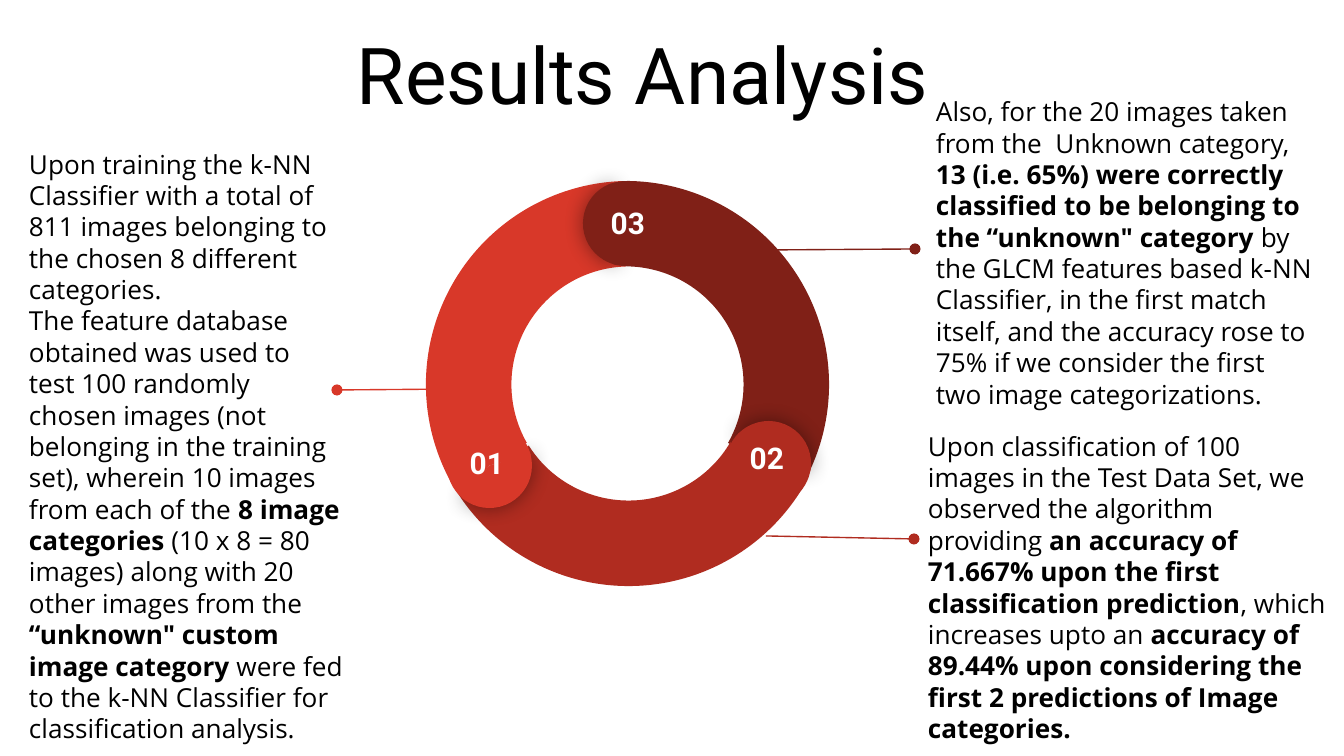
"""Build the results analysis slide: a three-part ring with a finding beside each part."""
from lxml import etree
from pptx import Presentation
from pptx.dml.color import RGBColor
from pptx.enum.shapes import MSO_CONNECTOR, MSO_SHAPE
from pptx.enum.text import MSO_ANCHOR, MSO_AUTO_SIZE, PP_ALIGN
from pptx.oxml import parse_xml
from pptx.oxml.ns import nsdecls, qn
from pptx.util import Pt

LEFT, CENTER = PP_ALIGN.LEFT, PP_ALIGN.CENTER
TOP, MIDDLE, BOTTOM = MSO_ANCHOR.TOP, MSO_ANCHOR.MIDDLE, MSO_ANCHOR.BOTTOM
STRAIGHT, BLOCK_ARC, PIE = MSO_CONNECTOR.STRAIGHT, MSO_SHAPE.BLOCK_ARC, MSO_SHAPE.PIE
FIXED = MSO_AUTO_SIZE.NONE

SCALE = 9144000 / 1344
BRIGHT, MEDIUM, DARK = "D83829", "B02C20", "802017"
RING, CAP = 407, 85
SHADOW = (
    f'<a:effectLst {nsdecls("a")}><a:outerShdw blurRad="142240" algn="ctr" rotWithShape="0">'
    '<a:srgbClr val="000000"><a:alpha val="43000"/></a:srgbClr></a:outerShdw></a:effectLst>'
)


def emu(*lengths):
    return [round(length * SCALE) for length in lengths]


def write(holder, paragraphs, size=14, font="Open Sans", color="000000", bold=False,
          align=LEFT, anchor=TOP, after=0, bottom=13):
    frame = holder.text_frame
    frame.word_wrap, frame.auto_size, frame.vertical_anchor = True, FIXED, anchor
    frame.margin_left, frame.margin_top, frame.margin_right, frame.margin_bottom = emu(13, 13, 13, bottom)
    for index, pieces in enumerate(paragraphs):
        paragraph = frame.paragraphs[0] if index == 0 else frame.add_paragraph()
        paragraph.alignment, paragraph.space_after = align, Pt(after)
        for position, piece in enumerate(pieces):
            for row, words in enumerate(piece.split("\n")):
                if row:
                    paragraph.add_line_break()
                run = paragraph.add_run()
                run.text = words
                run.font.size, run.font.name = Pt(size), font
                run.font.bold = bold or position % 2 == 1
                run.font.color.rgb = RGBColor.from_string(color)


deck = Presentation()
deck.slide_width, deck.slide_height = emu(1344, 756)
slide = deck.slides.add_slide(deck.slide_layouts[5])
shapes = slide.shapes

title = shapes.title
title.left, title.top, title.width, title.height = emu(16, 11, 1253, 122)
write(title, [["Results Analysis"]], size=42, font="Roboto", align=CENTER, anchor=BOTTOM)

training = [
    ["Upon training the k-NN Classifier with a total of 811 images belonging to the chosen 8 "
     "different categories."],
    ["The feature database obtained was used to \ntest 100 randomly \nchosen images (not belonging "
     "in the training set), wherein 10 images from each of the ",
     "8 image categories",
     " (10 x 8 = 80 images) along with 20 other images from the ",
     "“unknown\" custom image category",
     " were fed to the k-NN Classifier for classification analysis."],
]
unknown = [
    ["Also, for the 20 images taken from the  Unknown category, ",
     "13 (i.e. 65%) were correctly classified to be belonging to the “unknown\" category",
     " by the GLCM features based k-NN Classifier, in the first match itself, and the accuracy "
     "rose to 75% if we consider the first two image categorizations."],
]
accuracy = [
    ["Upon classification of 100 images in the Test Data Set, we observed the algorithm"],
    ["providing ",
     "an accuracy of 71.667% upon the first classification prediction",
     ", which increases upto an ",
     "accuracy of 89.44% upon considering the first 2 predictions of Image categories."],
]
findings = [
    (training, (16, 171, 355, 577), dict(anchor=MIDDLE, bottom=40)),
    (unknown, (923, 81, 405, 343), dict(anchor=MIDDLE, after=16)),
    (accuracy, (915, 417, 429, 319), {}),
]
for paragraphs, place, style in findings:
    write(shapes.add_textbox(*emu(*place)), paragraphs, **style)

leaders = [
    (BRIGHT, (465, 389, 337, 390)),
    (DARK, (766, 250, 915, 249)),
    (MEDIUM, (766, 536, 914, 539)),
]
for color, ends in leaders:
    leader = shapes.add_connector(STRAIGHT, *emu(*ends))
    leader.line.color.rgb = RGBColor.from_string(color)
    leader.line.width = Pt(0.75)
    etree.SubElement(leader.line._get_or_add_ln(), qn("a:tailEnd"), type="oval")
    etree.SubElement(leader._element.spPr, qn("a:effectLst"))

arcs = [
    (BLOCK_ARC, 422, 181, RING, 60, (126.23, 197.82, 0.21), DARK, False),
    (BLOCK_ARC, 425, 179, RING, 180, (126.23, 196.63, 0.21), MEDIUM, False),
    (BLOCK_ARC, 426, 181, RING, 300, (126.23, 197.03, 0.21), BRIGHT, False),
]
for left, top, turn, color in [(447, 423, 240, BRIGHT), (583, 181, 0, DARK), (726, 421, 120, MEDIUM)]:
    arcs.append((PIE, left, top, CAP, turn + 0.65, (61.9, 149.96), color, True))
    arcs.append((PIE, left, top, CAP, (turn + 180) % 360, (40.28, 171.84), color, False))

for kind, left, top, size, turn, angles, color, shaded in arcs:
    arc = shapes.add_shape(kind, *emu(left, top, size, size))
    for index, angle in enumerate(angles):
        arc.adjustments[index] = angle
    arc.rotation = turn
    arc.fill.solid()
    arc.fill.fore_color.rgb = RGBColor.from_string(color)
    arc.line.fill.background()
    if shaded:
        arc._element.spPr.append(parse_xml(SHADOW))
    else:
        arc.shadow.inherit = False

for number, left, top in [("03 ", 594, 192), ("01 ", 453, 432), ("02 ", 733, 427)]:
    write(shapes.add_textbox(*emu(left, top, 75, 39)), [[number]], size=16, font="Roboto",
          color="FFFFFF", bold=True, align=CENTER)

deck.save("out.pptx")
